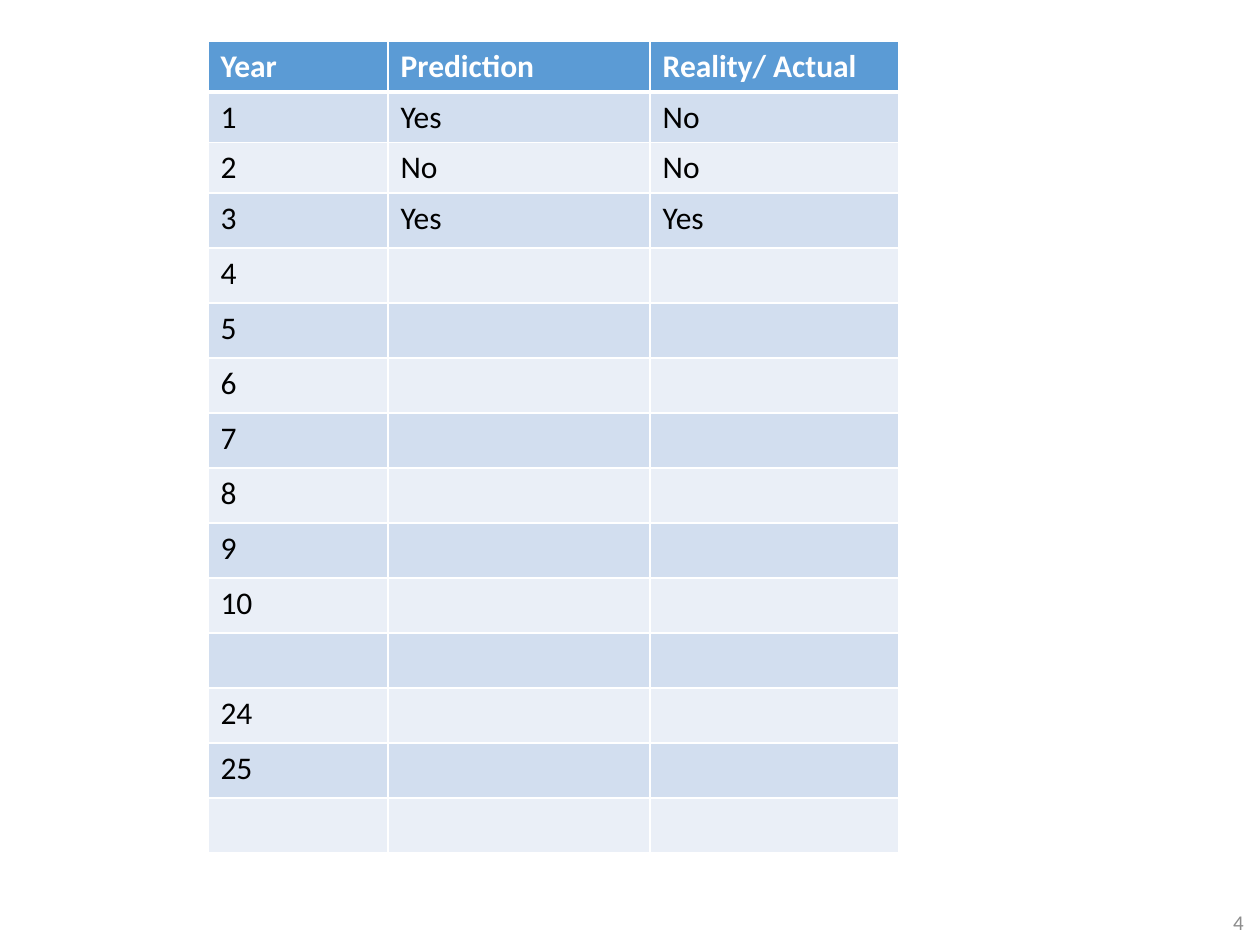
"""Build a slide with a table of yearly predictions against reality."""
import lxml.etree
import pptx
import pptx.dml.color
import pptx.enum.text
import pptx.oxml.ns
import pptx.util

Inches = pptx.util.Inches
Pt = pptx.util.Pt

ROWS = [
    ("Year", "Prediction", "Reality/ Actual"),
    ("1", "Yes", "No"),
    ("2", "No", "No"),
    ("3", "Yes", "Yes"),
    *[(str(year), "", "") for year in range(4, 11)],
    ("", "", ""),
    ("24", "", ""),
    ("25", "", ""),
    ("", "", ""),
]
PAGE_NUMBER = "4"
FONT = "Calibri"
LEFT, TOP, TABLE_HEIGHT = 1.65, 0.33, 6.44
COL_WIDTHS = [1.43, 2.08, 1.97]
SHORT_ROWS, SHORT_HEIGHT = 3, 0.4
HEADER_FILL, BAND_FILLS = "5B9BD5", ("EAEFF7", "D2DEEF")
WHITE, BLACK, GRAY = "FFFFFF", "000000", "8C8C8C"


def color(value):
    return pptx.dml.color.RGBColor.from_string(value)


def style_text(p, size, value, bold=False):
    for r in p.runs:
        r.font.name = FONT
        r.font.size = Pt(size)
        r.font.bold = bold
        r.font.color.rgb = color(value)


def set_borders(cell, top, bottom):
    tcPr = cell._tc.get_or_add_tcPr()
    qn = pptx.oxml.ns.qn
    for i, (side, width) in enumerate((("L", 1), ("R", 1), ("T", top), ("B", bottom))):
        ln = lxml.etree.Element(qn(f"a:ln{side}"), w=str(Pt(width)))
        fill = lxml.etree.SubElement(ln, qn("a:solidFill"))
        lxml.etree.SubElement(fill, qn("a:srgbClr"), val=WHITE)
        tcPr.insert(i, ln)


def add_table(s):
    tall = (TABLE_HEIGHT - SHORT_ROWS * SHORT_HEIGHT) / (len(ROWS) - SHORT_ROWS)
    frame = s.shapes.add_table(len(ROWS), len(COL_WIDTHS), Inches(LEFT), Inches(TOP),
                               Inches(sum(COL_WIDTHS)), Inches(TABLE_HEIGHT))
    table = frame.table
    for column, width in zip(table.columns, COL_WIDTHS):
        column.width = Inches(width)
    for i, texts in enumerate(ROWS):
        header = i == 0
        table.rows[i].height = Inches(SHORT_HEIGHT if i < SHORT_ROWS else tall)
        for j, text in enumerate(texts):
            cell = table.cell(i, j)
            cell.fill.solid()
            cell.fill.fore_color.rgb = color(HEADER_FILL if header else BAND_FILLS[i % 2])
            set_borders(cell, 3 if i == 1 else 1, 3 if header else 1)
            if text:
                cell.text_frame.text = text
                style_text(cell.text_frame.paragraphs[0], 18, WHITE if header else BLACK, header)


def add_page_number(s):
    sp = s.shapes.add_textbox(Inches(7.72), Inches(7.2), Inches(2.25), Inches(0.23))
    tf = sp.text_frame
    tf.word_wrap = True
    tf.vertical_anchor = pptx.enum.text.MSO_ANCHOR.MIDDLE
    tf.text = PAGE_NUMBER
    p = tf.paragraphs[0]
    p.alignment = pptx.enum.text.PP_ALIGN.RIGHT
    style_text(p, 12, GRAY)


def main():
    prs = pptx.Presentation()
    prs.slide_width, prs.slide_height = Inches(10), Inches(7.5)
    s = prs.slides.add_slide(prs.slide_layouts[6])
    add_page_number(s)
    add_table(s)
    prs.save("out.pptx")


if __name__ == "__main__":
    main()
